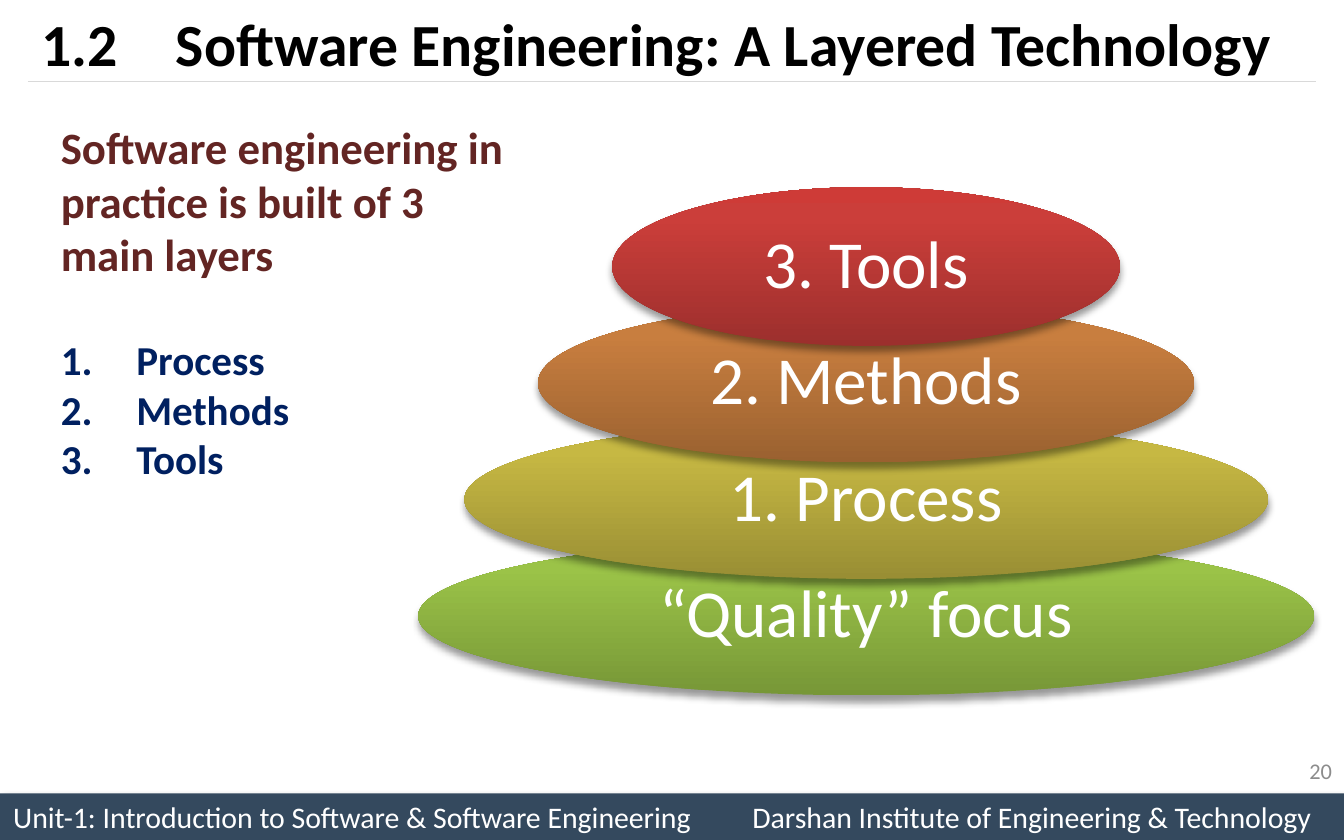
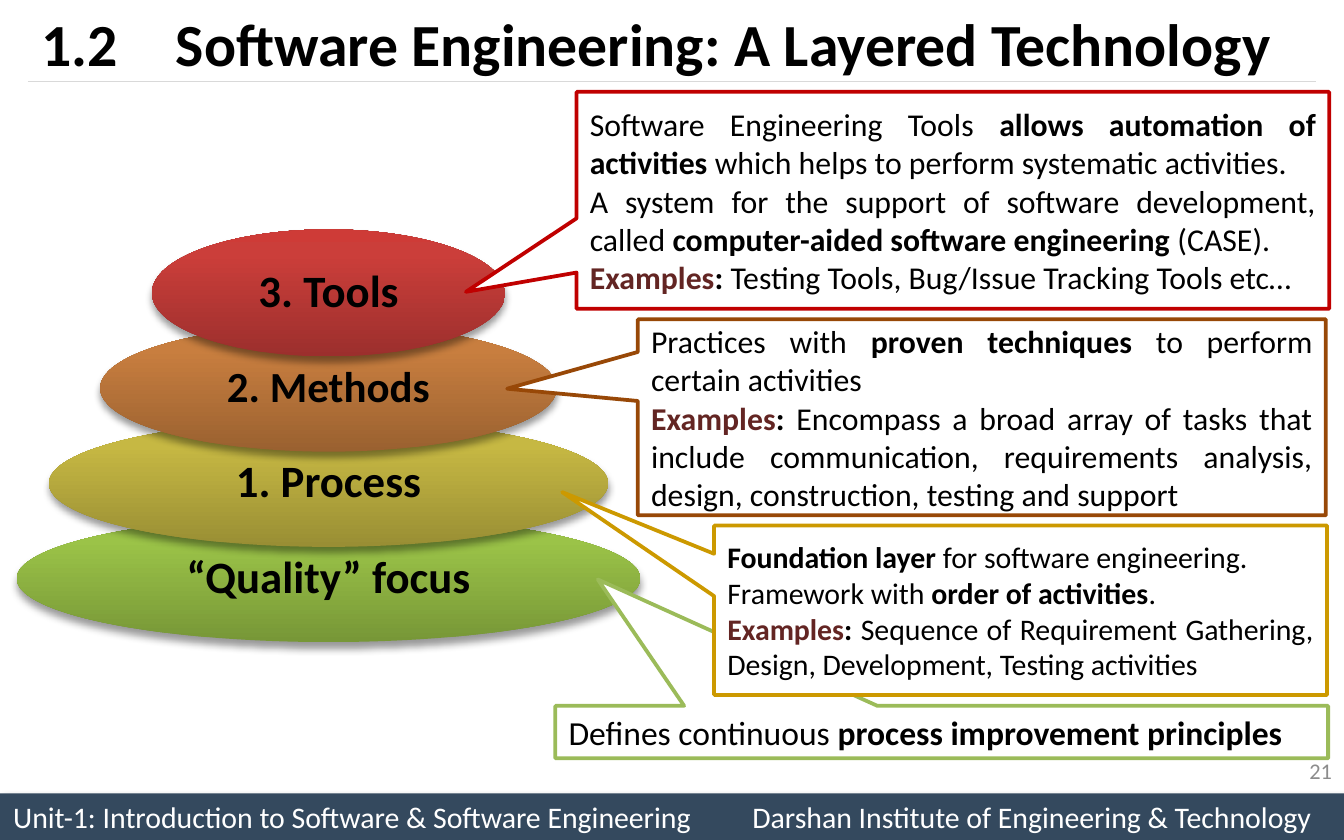
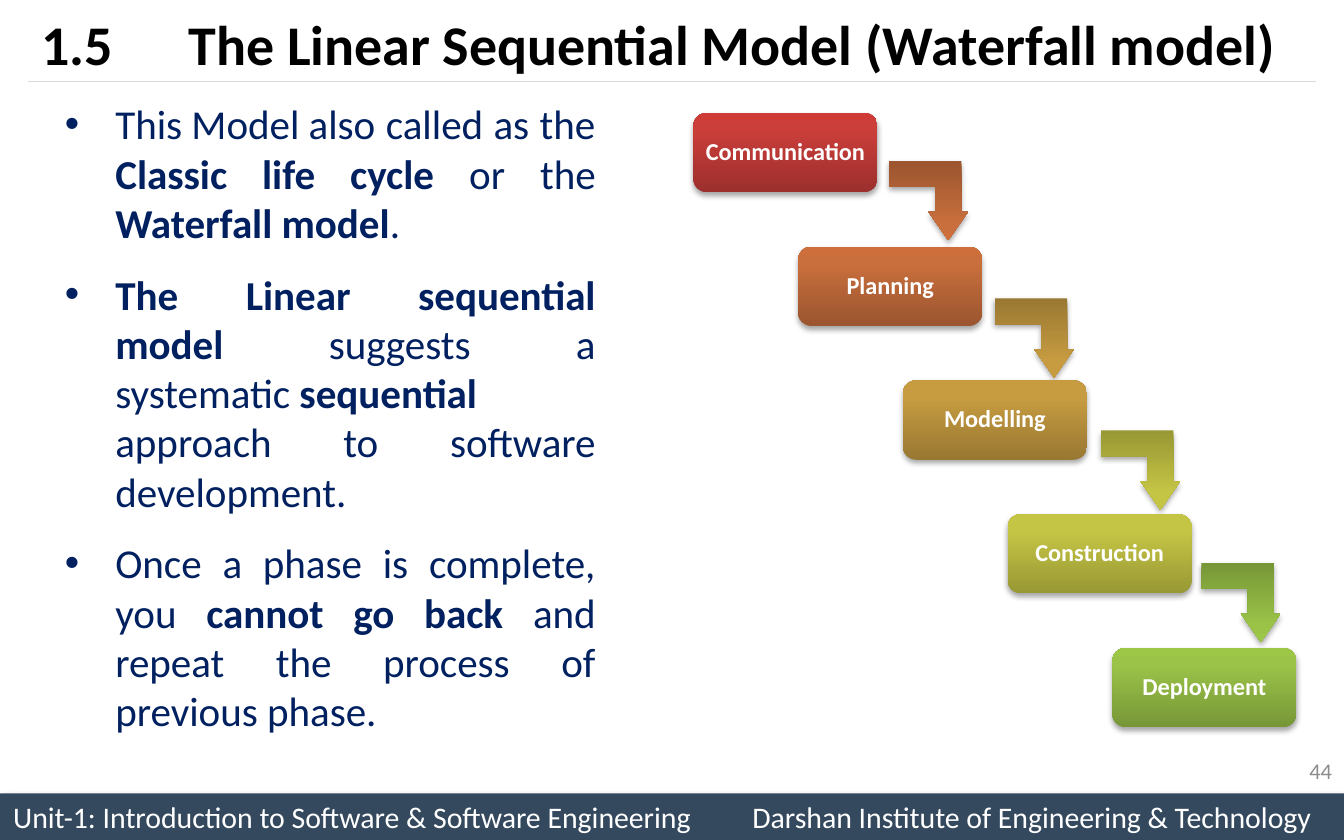
from dataclasses import dataclass
from typing import Optional, Union

from lxml.etree import SubElement
from pptx import Presentation
from pptx.dml.color import RGBColor
from pptx.enum.shapes import MSO_CONNECTOR, MSO_SHAPE as SHAPE
from pptx.enum.text import MSO_ANCHOR as ANCHOR, MSO_AUTO_SIZE as AUTO, PP_ALIGN as ALIGN
from pptx.oxml.ns import qn
from pptx.util import Pt

FONT = "Calibri"
NBSP = chr(160)
COLORS = {
    "black": "000000",
    "white": "FFFFFF",
    "band": "34495E",
    "rule": "D9D9D9",
    "number": "8C8C8C",
    "maroon": "632523",
    "navy": "002060",
    "callout_red": "C00000",
    "callout_brown": "984807",
    "callout_gold": "CC9900",
    "callout_green": "9BBB59",
}
GRADIENTS = {
    "red": ("9C2F2D", "CB3E3A", "CE3B37"),
    "rust": ("9B552F", "C96F3D", "CD6E3B"),
    "orange": ("9A6130", "C87E3F", "CC7E3C"),
    "gold": ("997832", "C79C41", "CA9D3F"),
    "yellow": ("998E34", "C6B843", "CABB41"),
    "olive": ("989835", "C5C545", "C8C842"),
    "green": ("779737", "9BC348", "9DC746"),
}


@dataclass(frozen=True)
class Box:
    left: float
    top: float
    width: float
    height: float

    def lengths(self) -> tuple:
        return Pt(self.left), Pt(self.top), Pt(self.width), Pt(self.height)


@dataclass(frozen=True)
class Run:
    text: str
    bold: bool = True
    color: Optional[str] = None


Text = Union[str, Run]


@dataclass(frozen=True)
class Shadow:
    blur: float
    distance: float
    angle: int
    alpha: int


@dataclass(frozen=True)
class Layer:
    text: str
    tone: str
    width: float


@dataclass(frozen=True)
class Callout:
    box: Box
    tip: tuple
    color: str
    size: int
    paragraphs: tuple


@dataclass(frozen=True)
class Phase:
    text: str
    tone: str
    arrow: Optional[tuple] = None


BAND_SHADOW = Shadow(4, 3, 45, 40)
LAYER_SHADOW = Shadow(4, 3, 90, 40)
PHASE_SHADOW = Shadow(3.1, 1.8, 90, 35)

LAYERS = (
    Layer("3. Tools", "red", 272),
    Layer("2. Methods", "orange", 351.5),
    Layer("1. Process", "yellow", 430.5),
    Layer("“Quality” focus", "green", 480),
)

EXAMPLES = (Run("Examples", color="maroon"), Run(": "))
CALLOUTS = (
    Callout(Box(297.5, 378.1, 414, 28.1), (-0.445, -2.91), "callout_green", 18, (
        ("Defines continuous ", Run("process improvement principles")),
    )),
    Callout(Box(382.6, 281.6, 328.3, 90.7), (-0.748, -0.698), "callout_gold", 16, (
        (Run("Foundation layer"), " for software engineering."),
        ("Framework with ", Run("order of activities"), "."),
        (*EXAMPLES, "Sequence of Requirement Gathering, Design, Development, Testing activities"),
    )),
    Callout(Box(308.9, 49.2, 403.2, 116.2), (-0.647, 0.422), "callout_red", 17, (
        ("Software Engineering Tools ", Run("allows automation of activities "),
         "which helps to perform systematic activities."),
        ("A system for the support of software development, called ",
         Run("computer-aided software engineering "), "(CASE)."),
        (*EXAMPLES, "Testing Tools, Bug/Issue Tracking Tools etc…"),
    )),
    Callout(Box(341.7, 171.1, 368.6, 105), (-0.69, -0.146), "callout_brown", 17, (
        ("Practices with ", Run("proven techniques "), "to perform certain activities"),
        (*EXAMPLES, "Encompass a broad array of tasks that include communication, "
                    "requirements analysis, design, construction, testing and support"),
    )),
)

PHASES = (
    Phase("Communication", "red", (476.1, 86.2)),
    Phase("Planning", "rust", (532.8, 159.8)),
    Phase("Modelling", "gold", (589.7, 230.6)),
    Phase("Construction", "olive", (643.5, 301.5)),
    Phase("Deployment", "green"),
)

WATERFALL_POINTS = (
    (f"This{NBSP}Model{NBSP}also called as the ", Run("Classic life cycle "), "or the ",
     Run(f"Waterfall{NBSP}model"), "."),
    (Run("The Linear sequential model "), f"suggests a systematic{NBSP}", Run("sequential "),
     "approach to software development."),
    ("Once a phase is complete, you ", Run("cannot go back "),
     "and repeat the process of previous phase."),
)


def rgb(name: str) -> RGBColor:
    return RGBColor.from_string(COLORS[name])


def write(tf, *runs: Text, size: float, color: str = "black", bold: bool = False,
          align=ALIGN.LEFT, before: float = 0, after: float = 0, spacing: float = 1,
          bullet: str = "", margin: float = 0, hanging: float = 0, tab: float = 0):
    p = tf.add_paragraph() if tf.text else tf.paragraphs[0]
    p.alignment, p.line_spacing = align, spacing
    p.space_before, p.space_after = Pt(before), Pt(after)
    pPr = p._p.get_or_add_pPr()
    pPr.set("marL", str(Pt(margin)))
    pPr.set("indent", str(-Pt(hanging)))
    if bullet == "number":
        SubElement(pPr, qn("a:buFont"), typeface="+mj-lt")
        SubElement(pPr, qn("a:buAutoNum"), type="arabicPeriod")
    elif bullet:
        SubElement(pPr, qn("a:buFont"), typeface="Arial")
        SubElement(pPr, qn("a:buChar"), char=bullet)
    if tab:
        tabs = SubElement(pPr, qn("a:tabLst"))
        SubElement(tabs, qn("a:tab"), pos=str(Pt(tab)), algn="l")
    for item in runs:
        run = item if isinstance(item, Run) else Run(item, bold)
        r = p.add_run()
        r.text = run.text
        r.font.name, r.font.size, r.font.bold = FONT, Pt(size), run.bold
        r.font.color.rgb = rgb(run.color or color)


def frame(sp, anchor=ANCHOR.MIDDLE, inset: Optional[float] = None):
    tf = sp.text_frame
    tf.word_wrap, tf.auto_size, tf.vertical_anchor = True, AUTO.NONE, anchor
    if inset is not None:
        tf.margin_left = tf.margin_right = tf.margin_top = tf.margin_bottom = Pt(inset)
    return tf


def add_text_box(slide, box: Box, anchor=ANCHOR.TOP):
    return frame(slide.shapes.add_textbox(*box.lengths()), anchor)


def add_shape(slide, kind, box: Box, fill: str, line: str = "",
              shadow: Optional[Shadow] = None):
    sp = slide.shapes.add_shape(kind, *box.lengths())
    spPr = sp._element.spPr
    if fill in GRADIENTS:
        grad = SubElement(spPr, qn("a:gradFill"), rotWithShape="1")
        stops = SubElement(grad, qn("a:gsLst"))
        for pos, color in zip((0, 80, 100), GRADIENTS[fill]):
            gs = SubElement(stops, qn("a:gs"), pos=str(pos * 1000))
            SubElement(gs, qn("a:srgbClr"), val=color)
        SubElement(grad, qn("a:lin"), ang=str(270 * 60000), scaled="0")
    else:
        sp.fill.solid()
        sp.fill.fore_color.rgb = rgb(fill)
    if line:
        sp.line.color.rgb = rgb(line)
        sp.line.width = Pt(2)
    else:
        sp.line.fill.background()
    sp.shadow.inherit = False
    if shadow:
        outer = SubElement(spPr.find(qn("a:effectLst")), qn("a:outerShdw"),
                           blurRad=str(Pt(shadow.blur)), dist=str(Pt(shadow.distance)),
                           dir=str(shadow.angle * 60000), rotWithShape="0")
        clr = SubElement(outer, qn("a:srgbClr"), val=COLORS["black"])
        SubElement(clr, qn("a:alpha"), val=str(shadow.alpha * 1000))
    return sp


def add_slide(prs, title: str, number: int, title_size: float = 32):
    slide = prs.slides.add_slide(prs.slide_layouts[5])
    band = add_shape(slide, SHAPE.RECTANGLE, Box(0, 425, 720, 25), "band",
                     shadow=BAND_SHADOW)
    write(frame(band), "Unit-1: Introduction to Software & Software Engineering\t"
          "Darshan Institute of Engineering & Technology", size=16, color="white", tab=395.4)

    rule = slide.shapes.add_connector(MSO_CONNECTOR.STRAIGHT, Pt(15), Pt(43.65),
                                      Pt(705), Pt(43.65))
    rule.line.color.rgb = rgb("rule")
    rule.line.width = Pt(0.75)
    SubElement(rule._element.spPr, qn("a:effectLst"))

    sp = slide.shapes.title
    sp.left, sp.top, sp.width, sp.height = Box(15, -3.7, 690, 53.3).lengths()
    write(frame(sp), title, size=title_size, bold=True, after=6, tab=72)

    write(add_text_box(slide, Box(553, 401, 167.7, 23.8), ANCHOR.MIDDLE), str(number),
          size=12, color="number", align=ALIGN.RIGHT)
    return slide


def add_layers(slide, center: float, top: float, height: float, step: float,
               scale: float, sizes: tuple, color: str, bold: bool):
    for i, (layer, size) in reversed(list(enumerate(zip(LAYERS, sizes)))):
        width = layer.width * scale
        box = Box(center - width / 2, top + i * step, width, height)
        sp = add_shape(slide, SHAPE.OVAL, box, layer.tone, shadow=LAYER_SHADOW)
        write(frame(sp, inset=0), layer.text, size=size, color=color, bold=bold,
              align=ALIGN.CENTER, spacing=0.9)


def add_callout(slide, callout: Callout):
    sp = add_shape(slide, SHAPE.RECTANGULAR_CALLOUT, callout.box, "white", callout.color)
    for i, value in enumerate(callout.tip):
        sp.adjustments[i] = value
    tf = frame(sp)
    for runs in callout.paragraphs:
        write(tf, *runs, size=callout.size, align=ALIGN.JUSTIFY)


def add_phase_arrow(slide, left: float, top: float, tone: str):
    sp = add_shape(slide, SHAPE.BENT_UP_ARROW, Box(left, top, 42.5, 42.5), tone,
                   shadow=PHASE_SHADOW)
    for i, value in enumerate((0.328, 0.25, 0.358)):
        sp.adjustments[i] = value
    sp.rotation = 180
    sp._element.spPr.find(qn("a:xfrm")).set("flipH", "1")


def build_layers_slide(prs):
    slide = add_slide(prs, "1.2\tSoftware Engineering: A Layered Technology", 20)
    tf = add_text_box(slide, Box(25.5, 60.5, 254.9, 211))
    write(tf, "Software engineering in practice is built of 3 main layers",
          size=24, color="maroon", bold=True)
    for i, name in enumerate(("Process", "Methods", "Tools")):
        write(tf, name, size=22, color="navy", bold=True, before=0 if i else 29,
              bullet="number", margin=40.5, hanging=40.5)
    add_layers(slide, 464, 100.3, 85, 62.4, 1, (36,) * 4, "white", False)


def build_callouts_slide(prs):
    slide = add_slide(prs, "1.2\tSoftware Engineering: A Layered Technology", 21)
    add_layers(slide, 176, 122.9, 68.1, 51, 0.696, (24, 23, 24, 24), "black", True)
    for callout in CALLOUTS:
        add_callout(slide, callout)


def build_waterfall_slide(prs):
    slide = add_slide(prs, "1.5\t The Linear Sequential Model (Waterfall model)", 44, 30)
    tf = add_text_box(slide, Box(8.7, 49.4, 317.5, 351.4))
    for runs in WATERFALL_POINTS:
        write(tf, *runs, size=22, color="navy", align=ALIGN.JUSTIFY, after=12,
              bullet="•", margin=46, hanging=27)
    for i, phase in enumerate(PHASES):
        box = Box(371.5 + 56.1 * i, 60.5 + 71.65 * i, 98.6, 42.5)
        sp = add_shape(slide, SHAPE.ROUNDED_RECTANGLE, box, phase.tone, shadow=PHASE_SHADOW)
        write(frame(sp, inset=0), phase.text, size=13, color="white", bold=True,
              align=ALIGN.CENTER, spacing=0.9)
        if phase.arrow:
            add_phase_arrow(slide, *phase.arrow, PHASES[i + 1].tone)


def main():
    prs = Presentation()
    prs.slide_width, prs.slide_height = Pt(720), Pt(450)
    build_layers_slide(prs)
    build_callouts_slide(prs)
    build_waterfall_slide(prs)
    prs.save("out.pptx")


if __name__ == "__main__":
    main()
